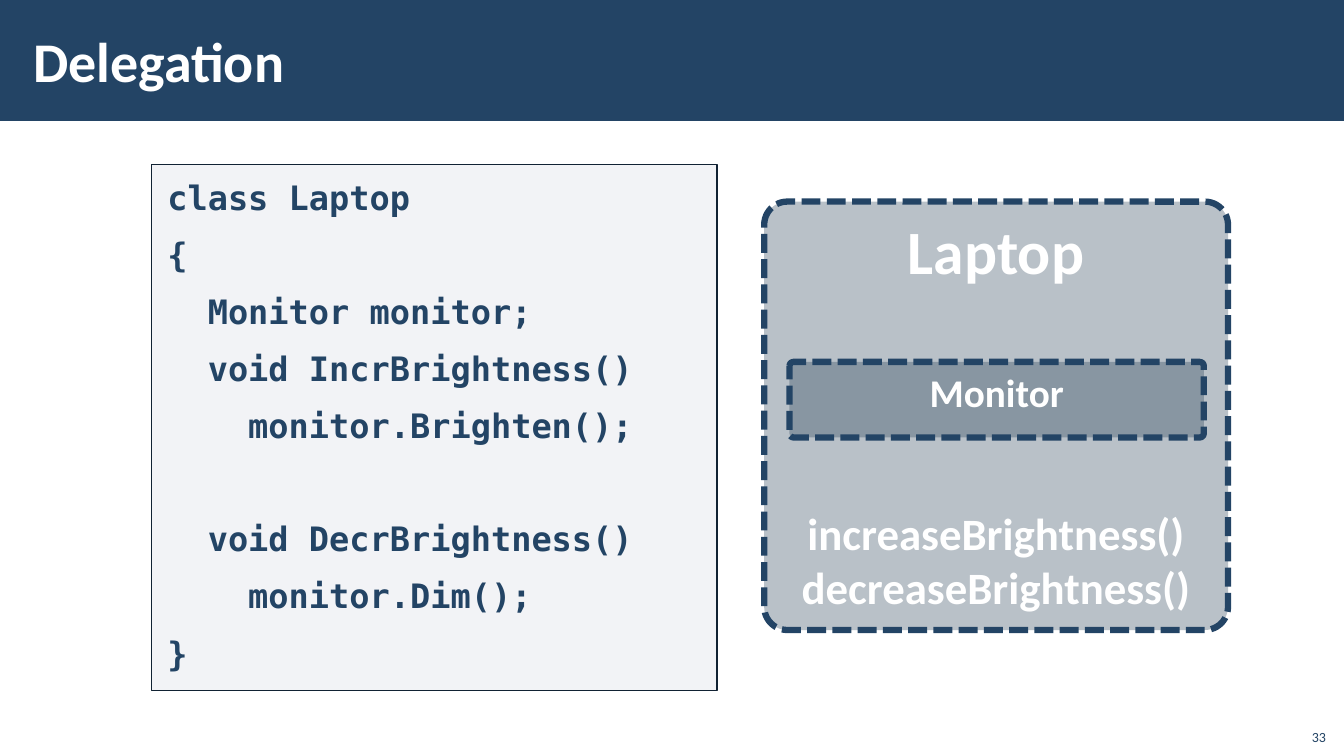
from lxml.etree import SubElement
from pptx import Presentation
from pptx.dml.color import RGBColor
from pptx.enum.dml import MSO_LINE
from pptx.enum.shapes import MSO_SHAPE
from pptx.enum.text import MSO_ANCHOR, PP_ALIGN
from pptx.oxml.ns import qn
from pptx.util import Pt

PX = 9144  # EMU per px, 100 px to the inch
COLORS = {
    "navy": "234465",
    "white": "FFFFFF",
    "code_fill": "ADB4C3",
    "code_line": "112233",
    "box_fill": "1A334C",
}
SANS, MONO = "Calibri", "DejaVu Sans Mono"
CODE = """class Laptop
{
  Monitor monitor;
  void IncrBrightness()
    monitor.Brighten();
  void DecrBrightness()
    monitor.Dim();
}""".split("\n")


def rgb(name):
    return RGBColor.from_string(COLORS[name])


class Deck:
    def __init__(self, width, height):
        self.prs = Presentation()
        self.prs.slide_width, self.prs.slide_height = width * PX, height * PX
        self.slide = self.prs.slides.add_slide(self.prs.slide_layouts[5])

    def box(self, kind, at, fill, alpha=100, line=None, weight=1, dash=None):
        sp = self.slide.shapes.add_shape(kind, *(n * PX for n in at))
        sp.shadow.inherit = False
        sp.fill.solid()
        sp.fill.fore_color.rgb = rgb(fill)
        if alpha < 100:
            color = sp.fill._xPr.find(".//" + qn("a:srgbClr"))
            SubElement(color, qn("a:alpha"), val=str(alpha * 1000))
        if line:
            sp.line.color.rgb = rgb(line)
            sp.line.width = Pt(weight)
            sp.line.dash_style = dash
        else:
            sp.line.fill.background()
        return sp

    def dashed(self, at, lines):
        sp = self.box(MSO_SHAPE.ROUNDED_RECTANGLE, at, "box_fill", 30,
                      "navy", 4.5, MSO_LINE.SQUARE_DOT)
        sp.adjustments[0] = 0.054
        self.text(sp, lines, align=PP_ALIGN.CENTER)

    def text(self, sp, lines, color="white", font=SANS, bold=True,
             align=PP_ALIGN.LEFT, anchor=MSO_ANCHOR.TOP, inset=(10, 5), after=0):
        """Each line is (text, size, space before)."""
        tf = sp.text_frame
        tf.word_wrap = True
        tf.vertical_anchor = anchor
        tf.margin_left = tf.margin_right = inset[0] * PX
        tf.margin_top = tf.margin_bottom = inset[1] * PX
        for i, (words, size, before) in enumerate(lines):
            p = tf.add_paragraph() if i else tf.paragraphs[0]
            p.text = words
            p.alignment = align
            p.space_before, p.space_after = Pt(before), Pt(after)
            p.font.name, p.font.size, p.font.bold = font, Pt(size), bold
            p.font.color.rgb = rgb(color)

    def title(self, words, at):
        sp = self.slide.shapes.title
        sp.left, sp.top, sp.width, sp.height = (n * PX for n in at)
        self.text(sp, [(words, 40, 0)], anchor=MSO_ANCHOR.MIDDLE, inset=(12, 4))

    def label(self, words, at):
        sp = self.slide.shapes.add_textbox(*(n * PX for n in at))
        self.text(sp, [(words, 10, 0)], "navy", bold=False,
                  align=PP_ALIGN.RIGHT, anchor=MSO_ANCHOR.BOTTOM)


def main():
    deck = Deck(1333, 750)

    # Header band, placed behind the title
    band = deck.box(MSO_SHAPE.RECTANGLE, (0, 0, 1333, 120), "navy")
    deck.slide.shapes.title._element.addprevious(band._element)
    deck.title("Delegation", (21, 11, 1063, 97))

    # Code panel, with a one-line gap before the second method
    panel = deck.box(MSO_SHAPE.RECTANGLE, (150, 163, 561, 522), "code_fill", 15,
                     "code_line")
    gaps = {0: 0, 5: 46}
    deck.text(panel, [(row, 24, gaps.get(i, 6)) for i, row in enumerate(CODE)],
              "navy", MONO, inset=(16, 12), after=6)

    # Laptop holding a monitor
    deck.dashed((758, 200, 460, 425), [("Laptop", 44, 0),
                                       ("increaseBrightness()", 32, 156),
                                       ("decreaseBrightness()", 32, 0)])
    deck.dashed((783, 359, 411, 75), [("Monitor", 28, 0)])

    # Page number
    deck.label("33", (1285, 712, 40, 32))

    deck.prs.save("out.pptx")


if __name__ == "__main__":
    main()
